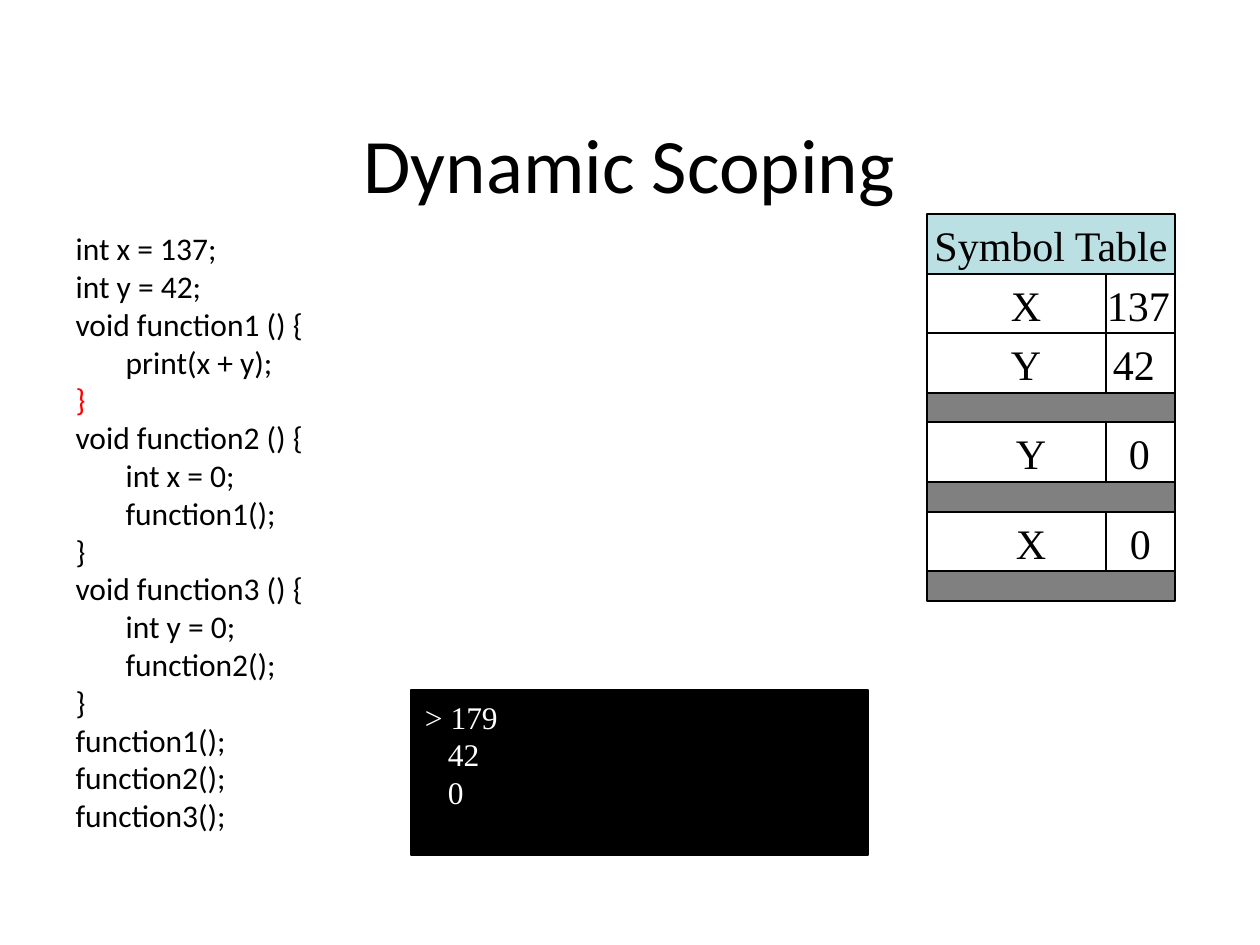
from lxml.etree import SubElement
from pptx import Presentation
from pptx.dml.color import RGBColor
from pptx.enum.shapes import MSO_CONNECTOR, MSO_SHAPE
from pptx.enum.text import MSO_ANCHOR, MSO_AUTO_SIZE, PP_ALIGN
from pptx.oxml.ns import qn
from pptx.util import Inches, Pt

SCALE = Inches(1) // 126
COLOURS = {
    "black": "000000",
    "white": "FFFFFF",
    "red": "FF0000",
    "header": "BBE0E3",
    "divider": "808080",
}
SANS, SERIF = "Calibri", "Times New Roman"

CODE = [
    (0, "int x = 137;"),
    (0, "int y = 42;"),
    (0, "void function1 () {"),
    (1, "print(x + y);"),
    (0, "}"),
    (0, "void function2 () {"),
    (1, "int x = 0;"),
    (1, "function1();"),
    (0, "}"),
    (0, "void function3 () {"),
    (1, "int y = 0;"),
    (1, "function2();"),
    (0, "}"),
    (0, "function1();"),
    (0, "function2();"),
    (0, "function3();"),
]
CURRENT_LINE = 4
OUTPUT = [(0, "> 179"), (1, "42"), (1, "0")]
SYMBOLS = [
    ("X", "137", 84, 180),
    ("Y", "42", 84, 186),
    None,
    ("Y", "0", 89, 202),
    None,
    ("X", "0", 89, 203),
    None,
]
TABLE_LEFT, TABLE_TOP, TABLE_WIDTH, TABLE_HEIGHT = 927, 214, 248, 387
VALUE_COLUMN = 1106


def px(length):
    return length * SCALE


def colour(name):
    return RGBColor.from_string(COLOURS[name])


def write(para, text, font=SERIF, size=24, ink="black", align=PP_ALIGN.LEFT,
          spacing=None, indent=0):
    para.alignment = align
    para.space_before = para.space_after = Pt(0)
    if spacing:
        para.line_spacing = Pt(spacing)
    properties = para._p.get_or_add_pPr()
    properties.set("marL", str(px(indent)))
    properties.set("indent", "0")
    SubElement(properties, qn("a:buNone"))
    span = para.add_run()
    span.text = text
    span.font.name = font
    span.font.size = Pt(size)
    span.font.color.rgb = colour(ink)


def write_lines(frame, lines, step, inks=None, **style):
    for number, (level, text) in enumerate(lines):
        para = frame.paragraphs[0] if number == 0 else frame.add_paragraph()
        ink = (inks or {}).get(number, style.get("ink", "black"))
        write(para, text, **{**style, "ink": ink, "indent": level * step})


class SlideBuilder:
    def __init__(self, deck):
        self.slide = deck.slides.add_slide(deck.slide_layouts[1])
        self.line_width = Pt(0.75)

    def placeholder(self, index, left, top, width, height, anchor):
        holder = self.slide.placeholders[index]
        holder.left, holder.top = px(left), px(top)
        holder.width, holder.height = px(width), px(height)
        frame = holder.text_frame
        frame.word_wrap = True
        frame.auto_size = MSO_AUTO_SIZE.NONE
        frame.vertical_anchor = anchor
        return frame

    def set_frame(self, frame, anchor, inset, inset_top):
        frame.word_wrap = True
        frame.vertical_anchor = anchor
        frame.margin_left, frame.margin_right = px(inset), 0
        frame.margin_top, frame.margin_bottom = px(inset_top), 0
        return frame

    def box(self, left, top, width, height, fill, inset=0,
            anchor=MSO_ANCHOR.MIDDLE, inset_top=2):
        shape = self.slide.shapes.add_shape(
            MSO_SHAPE.RECTANGLE, px(left), px(top), px(width), px(height))
        shape.shadow.inherit = False
        shape.fill.solid()
        shape.fill.fore_color.rgb = colour(fill)
        shape.line.color.rgb = colour("black")
        shape.line.width = self.line_width
        return self.set_frame(shape.text_frame, anchor, inset, inset_top)

    def label(self, left, top, width, height):
        shape = self.slide.shapes.add_textbox(
            px(left), px(top), px(width), px(height))
        return self.set_frame(shape.text_frame, MSO_ANCHOR.MIDDLE, 0, 2)

    def vertical_line(self, left, top, bottom):
        line = self.slide.shapes.add_connector(
            MSO_CONNECTOR.STRAIGHT, px(left), px(top), px(left), px(bottom))
        line.line.color.rgb = colour("black")
        line.line.width = self.line_width
        SubElement(line._element.spPr, qn("a:effectLst"))

    def symbol_table(self, title, symbols):
        units = [2] + [2 if symbol else 1 for symbol in symbols]
        edges = [TABLE_TOP + round(sum(units[:count]) * TABLE_HEIGHT / sum(units))
                 for count in range(len(units) + 1)]
        header = self.box(TABLE_LEFT, edges[0], TABLE_WIDTH,
                          edges[1] - edges[0], "header")
        write(header.paragraphs[0], title, align=PP_ALIGN.CENTER)
        for symbol, top, bottom in zip(symbols, edges[1:], edges[2:]):
            height = bottom - top
            if symbol is None:
                self.box(TABLE_LEFT, top, TABLE_WIDTH, height, "divider")
                continue
            name, value, name_start, value_start = symbol
            row = self.box(TABLE_LEFT, top, TABLE_WIDTH, height, "white",
                           inset=name_start)
            write(row.paragraphs[0], name)
            self.vertical_line(VALUE_COLUMN, top, bottom)
            cell = self.label(TABLE_LEFT + value_start, top,
                              TABLE_WIDTH - value_start, height)
            write(cell.paragraphs[0], value)


def main():
    deck = Presentation()
    deck.slide_width, deck.slide_height = Inches(10), Inches(7.5)
    page = SlideBuilder(deck)

    title = page.placeholder(0, 94, 84, 1071, 158, MSO_ANCHOR.MIDDLE)
    write(title.paragraphs[0], "Dynamic Scoping", font=SANS, size=44,
          align=PP_ALIGN.CENTER)

    code = page.placeholder(1, 63, 223, 626, 567, MSO_ANCHOR.TOP)
    write_lines(code, CODE, step=50, inks={CURRENT_LINE: "red"},
                font=SANS, size=18, spacing=21.6)

    console = page.box(411, 690, 457, 165, "black", inset=14,
                       anchor=MSO_ANCHOR.TOP, inset_top=8)
    write_lines(console, OUTPUT, step=23, size=18, ink="white", spacing=21.5)

    page.symbol_table("Symbol Table", SYMBOLS)
    deck.save("out.pptx")


if __name__ == "__main__":
    main()
